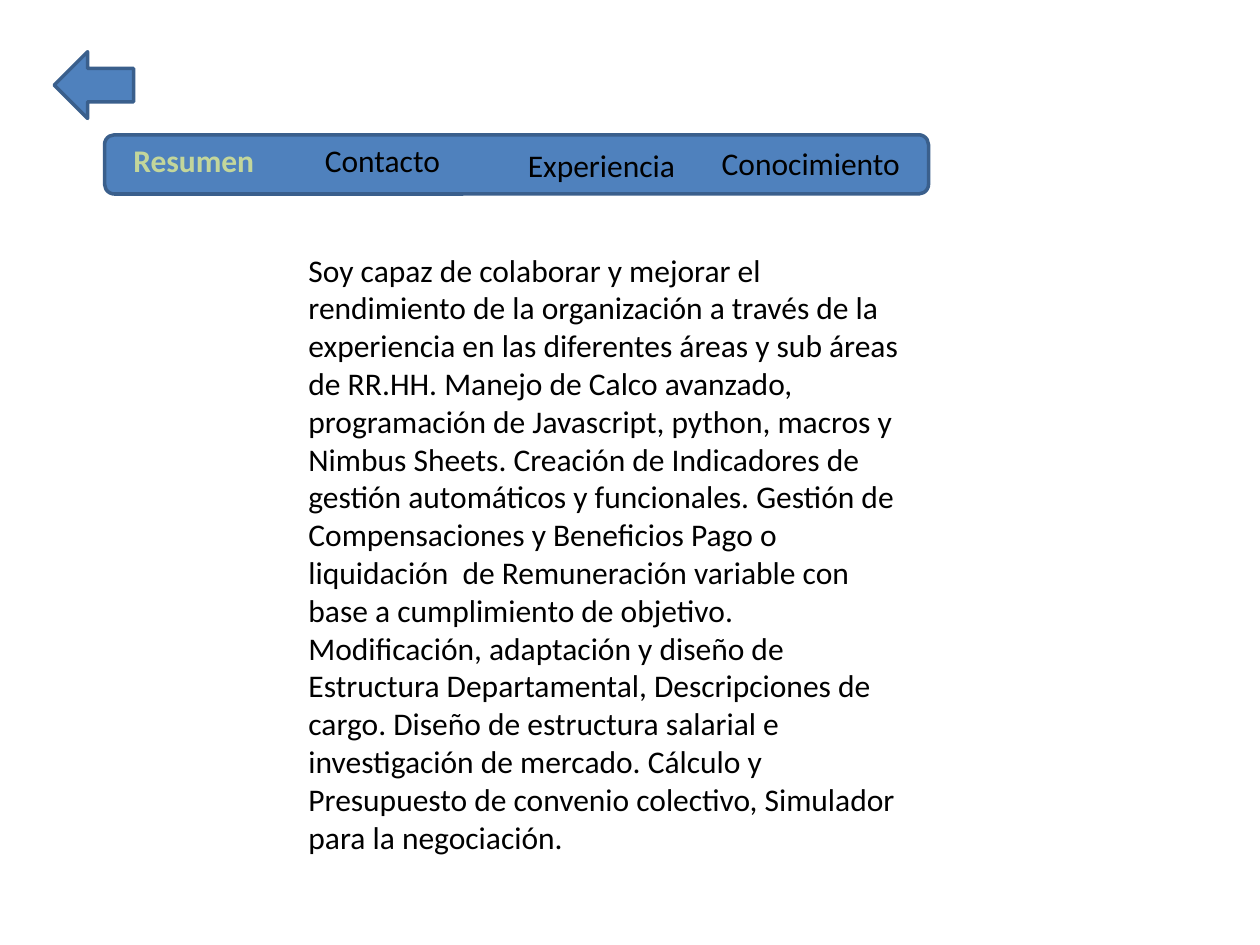
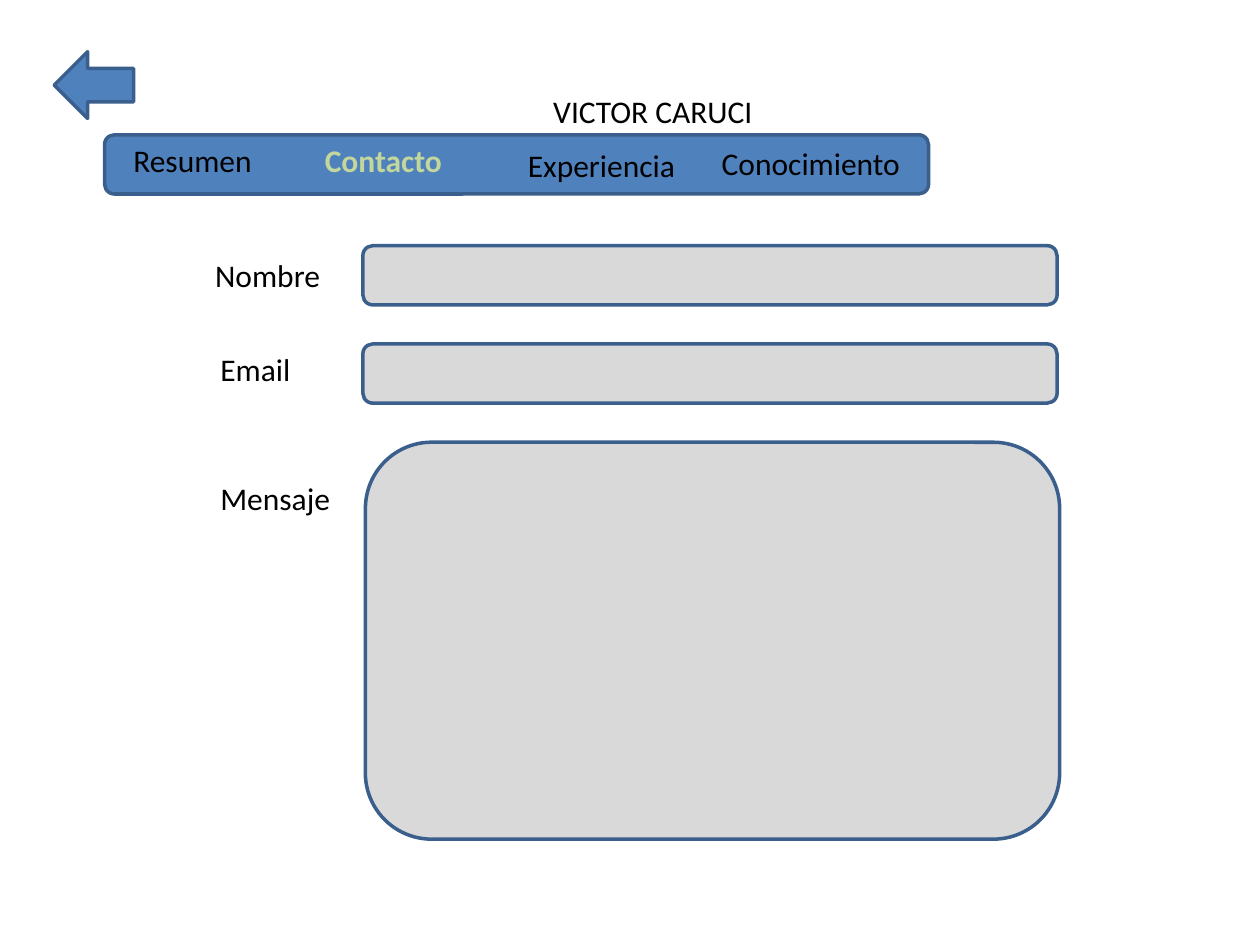
from pptx import Presentation
from pptx import util as u
from pptx.dml.color import RGBColor
from pptx.enum import shapes, text

PX = 9144  # EMU per px, 100 px to the inch
FONT = "Calibri"
COLORS = {
    "ink": "000000",
    "active": "C3D69B",
    "bar": "4F81BD",
    "border": "3A5F8C",
    "field": "D9D9D9",
}
TITLE_ONLY, BLANK = 5, 6
TEXT_H, BAR_H = 40, 47

# Menu entries: label, left, top, width
MENU = [
    ("Resumen", 96, 107, 117),
    ("Contacto", 248, 107, 114),
    ("Experiencia", 409, 111, 138),
    ("Conocimiento", 563, 109, 163),
]

# Form rows: label, label box (left, top, width), field box
FIELDS = [
    ("Nombre", (161, 198, 104), (288, 195, 551, BAR_H)),
    ("Email", (165, 273, 76), (288, 273, 551, BAR_H)),
    ("Mensaje", (165, 375, 108), (290, 351, 551, 315)),
]

SUMMARY = (
    "Soy capaz de colaborar y mejorar el rendimiento de la organización a través "
    "de la experiencia en las diferentes áreas y sub áreas de RR.HH. Manejo de "
    "Calco avanzado, programación de Javascript, python, macros y Nimbus Sheets. "
    "Creación de Indicadores de gestión automáticos y funcionales. Gestión de "
    "Compensaciones y Beneficios Pago o liquidación  de Remuneración variable con "
    "base a cumplimiento de objetivo. Modificación, adaptación y diseño de "
    "Estructura Departamental, Descripciones de cargo. Diseño de estructura "
    "salarial e investigación de mercado. Cálculo y Presupuesto de convenio "
    "colectivo, Simulador para la negociación."
)


def rgb(name):
    return RGBColor.from_string(COLORS[name])


def write(sp, content, size=18, color="ink", bold=False, wrap=False):
    """Put one left-aligned paragraph in a shape, starting at its top."""
    tf = sp.text_frame
    tf.word_wrap = wrap
    tf.auto_size = text.MSO_AUTO_SIZE.SHAPE_TO_FIT_TEXT
    tf.vertical_anchor = text.MSO_ANCHOR.TOP
    p = tf.paragraphs[0]
    p.alignment = text.PP_ALIGN.LEFT
    r = p.add_run()
    r.text = content
    r.font.name, r.font.size, r.font.bold = FONT, u.Pt(size), bold
    r.font.color.rgb = rgb(color)


class Deck:
    def __init__(self):
        self.prs = Presentation()
        self.prs.slide_width, self.prs.slide_height = 1000 * PX, 750 * PX
        self.slide = None

    def new_slide(self, layout):
        self.slide = self.prs.slides.add_slide(self.prs.slide_layouts[layout])

    def title(self, content, x, y, w, h=TEXT_H):
        sp = self.slide.shapes.title
        sp.left, sp.top, sp.width, sp.height = (v * PX for v in (x, y, w, h))
        write(sp, content)

    def label(self, content, x, y, w, h=TEXT_H, **fmt):
        sp = self.slide.shapes.add_textbox(*(v * PX for v in (x, y, w, h)))
        write(sp, content, **fmt)

    def shape(self, kind, x, y, w, h, fill="bar"):
        sp = self.slide.shapes.add_shape(kind, *(v * PX for v in (x, y, w, h)))
        sp.shadow.inherit = False
        sp.fill.solid()
        sp.fill.fore_color.rgb = rgb(fill)
        sp.line.color.rgb = rgb("border")
        sp.line.width = u.Pt(2)
        return sp

    def box(self, x, y, w, h, fill="bar"):
        return self.shape(shapes.MSO_SHAPE.ROUNDED_RECTANGLE, x, y, w, h, fill)

    def navigation(self, active):
        """Back arrow and menu bar, with the active entry highlighted."""
        self.shape(shapes.MSO_SHAPE.RIGHT_ARROW, 43, 41, 63, 53).rotation = 180
        self.box(83, 107, 654, BAR_H)
        for name, x, y, w in MENU:
            on = name == active
            self.label(name, x, y, w, color="active" if on else "ink", bold=on)


def main():
    deck = Deck()

    # Summary
    deck.new_slide(BLANK)
    deck.label(SUMMARY, 235, 194, 500, 495, wrap=True)
    deck.navigation("Resumen")

    # Contact form
    deck.new_slide(TITLE_ONLY)
    deck.title("VICTOR CARUCI", 429, 68, 180)
    for name, label_box, field_box in FIELDS:
        deck.box(*field_box, fill="field")
        deck.label(name, *label_box)
    deck.navigation("Contacto")

    deck.prs.save("out.pptx")


if __name__ == "__main__":
    main()
